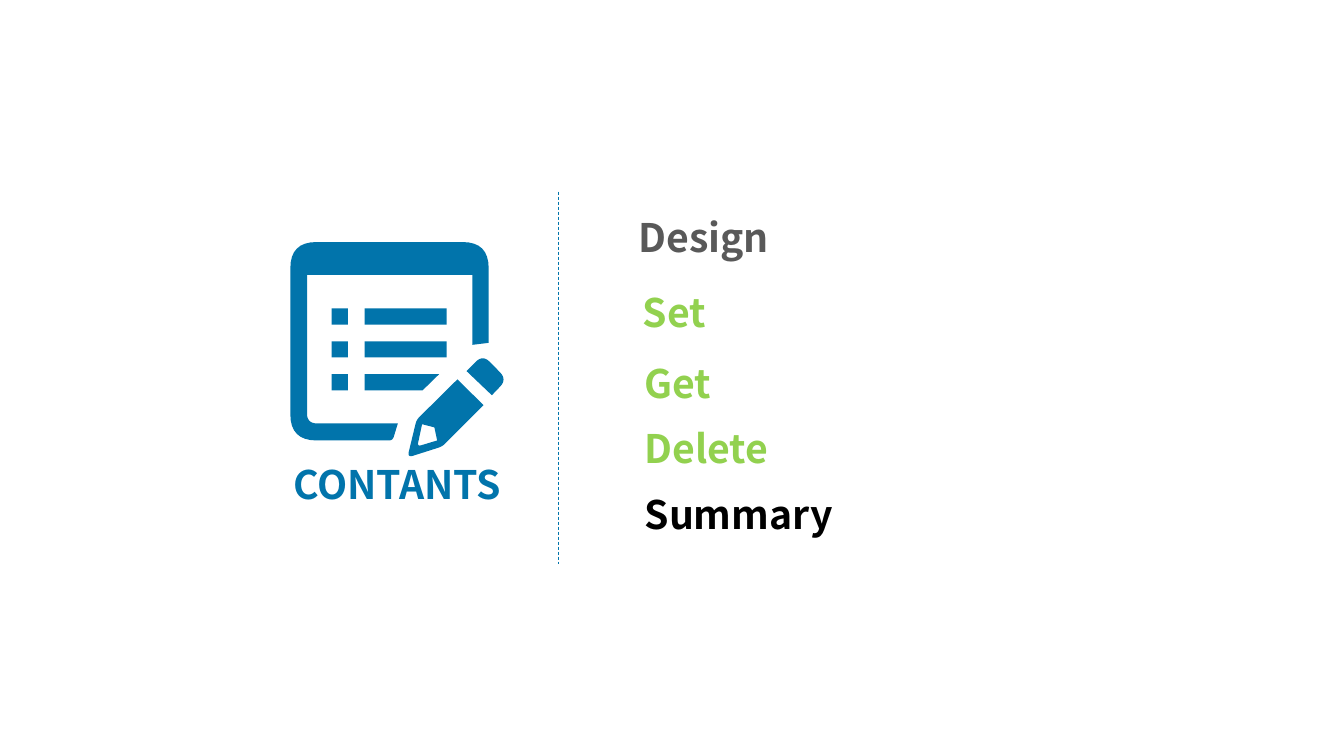
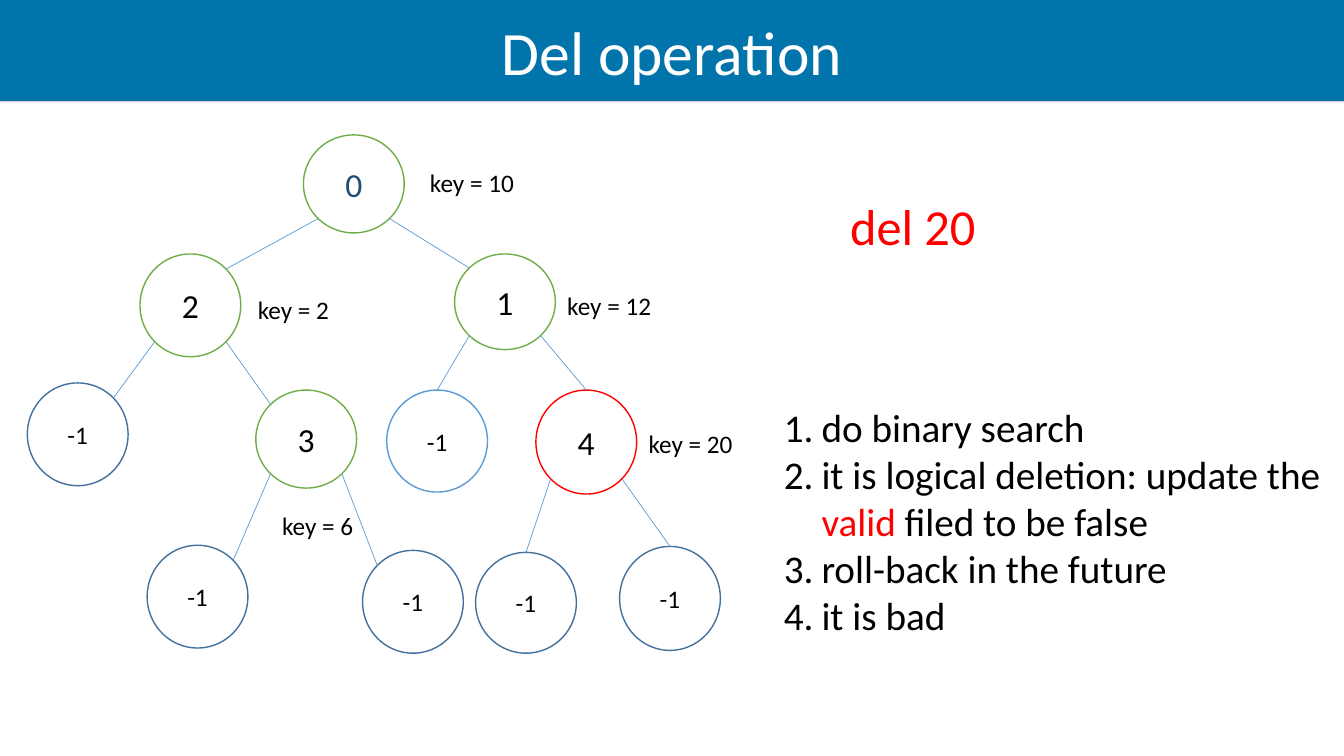
from dataclasses import dataclass
from math import cos, radians, sin
from typing import Optional

from lxml.etree import SubElement
from pptx import Presentation
from pptx.dml.color import RGBColor
from pptx.enum.dml import MSO_LINE
from pptx.enum.shapes import MSO_CONNECTOR, MSO_SHAPE
from pptx.enum.text import MSO_ANCHOR, MSO_AUTO_SIZE, PP_ALIGN
from pptx.oxml.ns import qn
from pptx.util import Cm, Pt

# Shared style
COLORS = {
    "brand": "0174AB", "gray": "595959", "lime": "92D14F", "black": "000000",
    "white": "FFFFFF", "red": "FF0000", "green": "70AD47", "navy": "1F4E79",
    "steel": "41719C", "sky": "5B9BD5", "shadow": "808080",
}
BODY_FONT = "Calibri"
AGENDA_FONT = "Noto Sans CJK SC"
PAGE_WIDTH, PAGE_HEIGHT = 33.88, 19.05
TITLE_ONLY = 5
NODE_WIDTH = 2.54

# Angles on a node's rim, clockwise from the right
TOP, TOP_LEFT, TOP_RIGHT = 270, 225, 315
BOTTOM_LEFT, BOTTOM_RIGHT = 135, 45


@dataclass
class AgendaItem:
    text: str
    left: float
    top: float
    color: str


@dataclass
class Node:
    left: float
    top: float
    height: float
    outline: str
    text: str = "-1"
    size: int = 18
    color: str = "black"

    def rim(self, angle: float) -> tuple[float, float]:
        turn = radians(angle)
        return (self.left + NODE_WIDTH / 2 * (1 + cos(turn)),
                self.top + self.height / 2 * (1 + sin(turn)))


@dataclass
class Edge:
    parent: str
    start: int
    child: str
    end: int


@dataclass
class KeyLabel:
    text: str
    left: float
    top: float


@dataclass
class Corner:
    x: float
    y: float
    radius: float = 0


AGENDA = [
    AgendaItem("Design", 15.85, 5.26, "gray"),
    AgendaItem("Set", 15.95, 7.14, "lime"),
    AgendaItem("Get", 16, 8.92, "lime"),
    AgendaItem("Delete", 16, 10.57, "lime"),
    AgendaItem("Summary", 16, 12.22, "black"),
]

NOTEPAD = [
    Corner(10.03, 10.67), Corner(9.9, 11.1, 0.1), Corner(7.32, 11.1, 0.66),
    Corner(7.32, 6.1, 0.66), Corner(12.32, 6.1, 0.66), Corner(12.32, 8.64),
    Corner(11.91, 8.69), Corner(11.91, 6.93), Corner(7.74, 6.93),
    Corner(7.74, 10.67, 0.25),
]
PENCIL = [
    Corner(11.53, 9.56), Corner(12.19, 10.21), Corner(11.15, 11.25, 0.1),
    Corner(10.27, 11.53, 0.15), Corner(10.5, 10.58, 0.1),
]
PENCIL_TIP = [
    Corner(10.64, 10.69), Corner(10.52, 11.25, 0.1), Corner(11.02, 11.1),
    Corner(10.95, 10.77),
]
ERASER = [
    Corner(11.76, 9.35), Corner(12.17, 8.94, 0.25), Corner(12.78, 9.56, 0.25),
    Corner(12.4, 9.96),
]
LAST_BAR = [
    Corner(9.19, 9.43), Corner(11.07, 9.43), Corner(10.65, 9.84), Corner(9.19, 9.84),
]

NODES = {
    "root": Node(7.65, 3.4, 2.47, "green", "0", 24, "navy"),
    "two": Node(3.53, 6.4, 2.59, "green", "2", 24),
    "one": Node(11.46, 6.4, 2.41, "green", "1", 24),
    "three": Node(6.45, 9.83, 2.47, "green", "3", 24),
    "four": Node(13.51, 9.83, 2.62, "red", "4", 24),
    "two_left": Node(0.69, 9.65, 2.59, "steel"),
    "one_left": Node(9.75, 9.83, 2.57, "sky"),
    "three_left": Node(3.71, 13.74, 2.59, "steel"),
    "three_right": Node(9.14, 13.87, 2.59, "steel"),
    "four_left": Node(11.99, 13.92, 2.54, "steel"),
    "four_right": Node(15.62, 13.77, 2.62, "steel"),
}
EDGES = [
    Edge("root", BOTTOM_LEFT, "two", TOP_RIGHT),
    Edge("root", BOTTOM_RIGHT, "one", TOP_LEFT),
    Edge("two", BOTTOM_LEFT, "two_left", TOP_RIGHT),
    Edge("two", BOTTOM_RIGHT, "three", TOP_LEFT),
    Edge("one", BOTTOM_LEFT, "one_left", TOP),
    Edge("one", BOTTOM_RIGHT, "four", TOP),
    Edge("three", BOTTOM_LEFT, "three_left", TOP_RIGHT),
    Edge("three", BOTTOM_RIGHT, "three_right", TOP_LEFT),
    Edge("four", BOTTOM_LEFT, "four_left", TOP),
    Edge("four", BOTTOM_RIGHT, "four_right", TOP),
]
KEY_LABELS = [
    KeyLabel("key = 10", 10.59, 4.09),
    KeyLabel("key = 2", 6.25, 7.29),
    KeyLabel("key = 12", 14.05, 7.19),
    KeyLabel("key = 6", 6.86, 12.73),
    KeyLabel("key = 20", 16.1, 10.67),
]
STEPS = [
    [("do binary search", "black")],
    [("it is logical deletion: update the ", "black"), ("valid ", "red"),
     ("filed to be false", "black")],
    [("roll-back in the future", "black")],
    [("it is bad", "black")],
]


def rgb(name: str) -> RGBColor:
    return RGBColor.from_string(COLORS[name])


def place(box, left: float, top: float, width: float, height: float) -> None:
    box.left, box.top, box.width, box.height = map(Cm, (left, top, width, height))


def add_span(para, text: str, *, size: int, color: str = "black",
             font: str = BODY_FONT, bold: bool = False) -> None:
    span = para.add_run()
    span.text = text
    span.font.name, span.font.size, span.font.bold = font, Pt(size), bold
    span.font.color.rgb = rgb(color)


def add_text(page, text: str, left: float, top: float, width: float,
             height: float, **style) -> None:
    frame = page.shapes.add_textbox(*map(Cm, (left, top, width, height))).text_frame
    frame.word_wrap = True
    add_span(frame.paragraphs[0], text, **style)


def set_title(page, text: str, area: tuple[float, float, float, float],
              anchor: MSO_ANCHOR, **style):
    title = page.shapes.title
    place(title, *area)
    frame = title.text_frame
    frame.auto_size = MSO_AUTO_SIZE.NONE
    frame.word_wrap = True
    frame.vertical_anchor = anchor
    para = frame.paragraphs[0]
    para.alignment = PP_ALIGN.CENTER
    add_span(para, text, **style)
    return title


def paint(shape, fill: Optional[str] = None, outline: Optional[str] = None) -> None:
    shape.shadow.inherit = False
    if fill:
        shape.fill.solid()
        shape.fill.fore_color.rgb = rgb(fill)
    else:
        shape.fill.background()
    if outline:
        shape.line.color.rgb = rgb(outline)
        shape.line.width = Pt(1)
    else:
        shape.line.fill.background()


def add_line(page, start: tuple[float, float], end: tuple[float, float],
             color: str, dash: Optional[MSO_LINE] = None) -> None:
    line = page.shapes.add_connector(MSO_CONNECTOR.STRAIGHT, *map(Cm, start + end))
    line.line.color.rgb = rgb(color)
    line.line.width = Pt(0.5)
    if dash:
        line.line.dash_style = dash
    SubElement(line._element.spPr, qn("a:effectLst"))


def outline_points(corners: list[Corner], steps: int = 8) -> list[tuple[int, int]]:
    """Trace the corners, bending each one that has a radius."""
    points = []
    for index, corner in enumerate(corners):
        if not corner.radius:
            points.append((Cm(corner.x), Cm(corner.y)))
            continue
        ends = []
        for other in (corners[index - 1], corners[(index + 1) % len(corners)]):
            dx, dy = other.x - corner.x, other.y - corner.y
            part = corner.radius / (dx * dx + dy * dy) ** 0.5
            ends.append((corner.x + dx * part, corner.y + dy * part))
        (x1, y1), (x2, y2) = ends
        for step in range(steps + 1):
            t = step / steps
            a, b, c = (1 - t) ** 2, 2 * t * (1 - t), t * t
            points.append((Cm(a * x1 + b * corner.x + c * x2),
                           Cm(a * y1 + b * corner.y + c * y2)))
    return points


def add_outline(page, *contours: list[Corner]) -> None:
    first, *holes = [outline_points(contour) for contour in contours]
    builder = page.shapes.build_freeform(*first[0])
    builder.add_line_segments(first[1:], close=True)
    for hole in holes:
        builder.move_to(*hole[0])
        builder.add_line_segments(hole[1:], close=True)
    paint(builder.convert_to_shape(), fill="brand")


def add_node(page, node: Node) -> None:
    circle = page.shapes.add_shape(
        MSO_SHAPE.OVAL, *map(Cm, (node.left, node.top, NODE_WIDTH, node.height)))
    paint(circle, outline=node.outline)
    frame = circle.text_frame
    frame.vertical_anchor = MSO_ANCHOR.MIDDLE
    para = frame.paragraphs[0]
    para.alignment = PP_ALIGN.CENTER
    add_span(para, node.text, size=node.size, color=node.color)


def add_steps(page) -> None:
    frame = page.shapes.add_textbox(Cm(19.51), Cm(10.03), Cm(14.35), Cm(6.2)).text_frame
    frame.word_wrap = True
    for index, step in enumerate(STEPS):
        para = frame.add_paragraph() if index else frame.paragraphs[0]
        for text, color in step:
            add_span(para, text, size=28, color=color)
        settings = para._p.get_or_add_pPr()
        settings.set("marL", str(Cm(0.95)))
        settings.set("indent", str(-Cm(0.95)))
        bullet_color = SubElement(settings, qn("a:buClr"))
        SubElement(bullet_color, qn("a:srgbClr"), val=COLORS["black"])
        SubElement(settings, qn("a:buAutoNum"), type="arabicPeriod")


def add_band_shadow(band) -> None:
    effects = band._element.spPr.find(qn("a:effectLst"))
    shadow = SubElement(effects, qn("a:outerShdw"), blurRad="0", dist=str(Pt(1)),
                        dir="5400000", rotWithShape="0")
    color = SubElement(shadow, qn("a:srgbClr"), val=COLORS["shadow"])
    SubElement(color, qn("a:alpha"), val="39000")


def build_agenda(deck) -> None:
    page = deck.slides.add_slide(deck.slide_layouts[TITLE_ONLY])
    style = {"size": 28, "font": AGENDA_FONT, "bold": True}
    set_title(page, "CONTANTS", (6.32, 11.48, 7.39, 1.45), MSO_ANCHOR.TOP,
              color="brand", **style)
    add_line(page, (14.07, 4.83), (14.07, 14.22), "brand", MSO_LINE.DASH)
    for item in AGENDA:
        add_text(page, item.text, item.left, item.top, 10, 1.45,
                 color=item.color, **style)
    # Notepad icon
    for contours in ([NOTEPAD], [PENCIL, PENCIL_TIP], [ERASER], [LAST_BAR]):
        add_outline(page, *contours)
    for row in range(3):
        marks = [(8.36, 0.41), (9.19, 2.07)] if row < 2 else [(8.36, 0.41)]
        for left, width in marks:
            mark = page.shapes.add_shape(
                MSO_SHAPE.RECTANGLE, *map(Cm, (left, 7.77 + 0.83 * row, width, 0.41)))
            paint(mark, fill="brand")


def build_tree(deck) -> None:
    page = deck.slides.add_slide(deck.slide_layouts[TITLE_ONLY])
    band = set_title(page, "Del operation", (0, 0, PAGE_WIDTH, 2.54),
                     MSO_ANCHOR.MIDDLE, size=44, color="white")
    paint(band, fill="brand")
    add_band_shadow(band)
    # Tree
    for node in NODES.values():
        add_node(page, node)
    for edge in EDGES:
        add_line(page, NODES[edge.parent].rim(edge.start),
                 NODES[edge.child].rim(edge.end), "sky")
    for label in KEY_LABELS:
        add_text(page, label.text, label.left, label.top, 3, 1.02, size=18)
    # Explanation
    add_text(page, "del 20", 21.18, 4.8, 7.82, 1.78, size=36, color="red")
    add_steps(page)


def main() -> None:
    deck = Presentation()
    deck.slide_width, deck.slide_height = Cm(PAGE_WIDTH), Cm(PAGE_HEIGHT)
    build_agenda(deck)
    build_tree(deck)
    deck.save("out.pptx")


if __name__ == "__main__":
    main()
